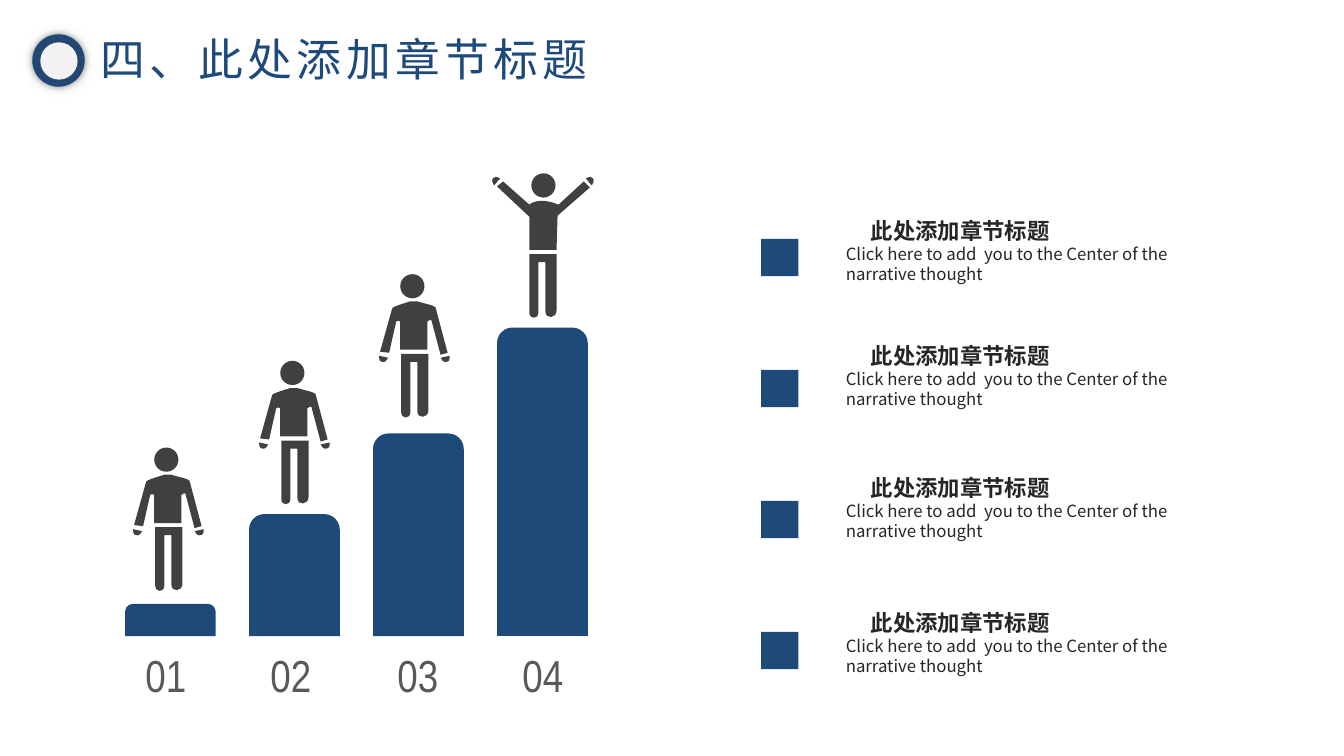
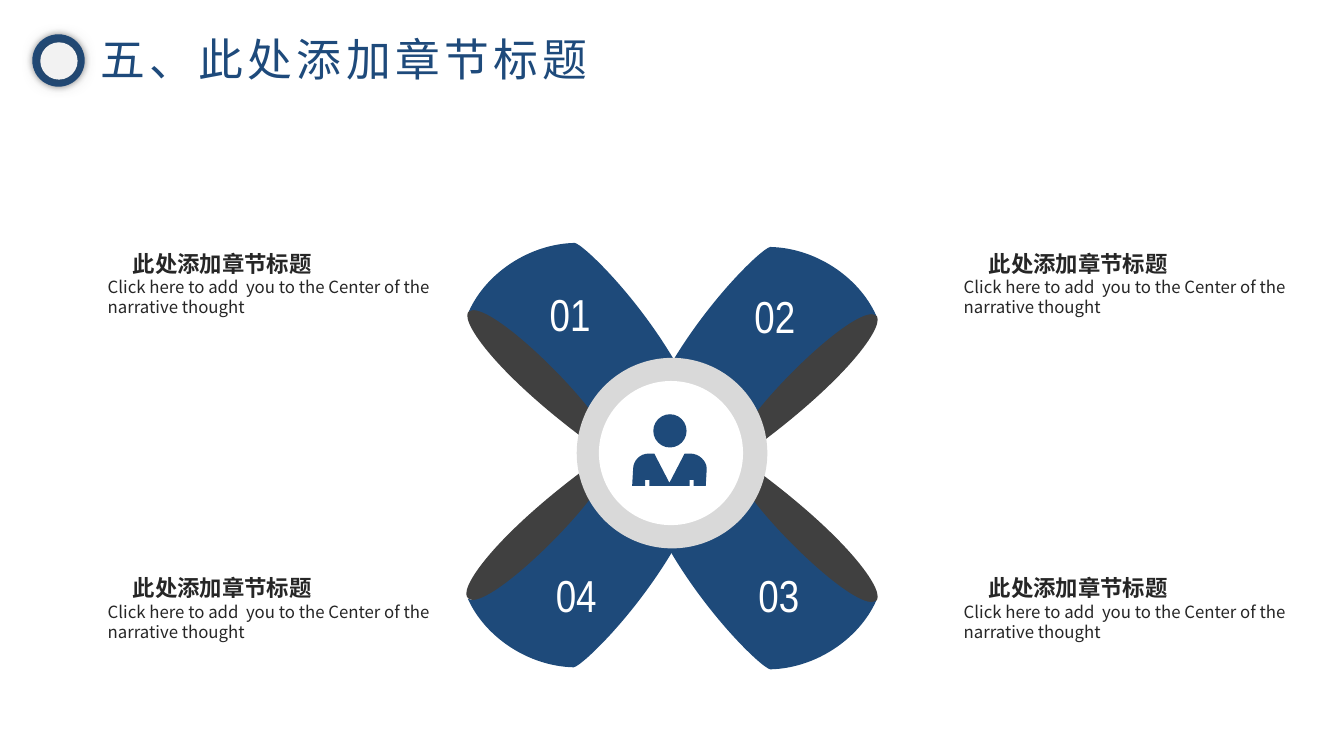
from lxml.etree import Element, SubElement
from pptx import Presentation
from pptx.dml.color import RGBColor
from pptx.enum.shapes import MSO_SHAPE
from pptx.enum.text import MSO_ANCHOR, PP_ALIGN
from pptx.oxml.ns import qn
from pptx.util import Inches, Pt

RING_BLUE, BLUE, DARK = "1E4A7B", "1E4A7A", "404040"
BODY_FONT, NUMBER_FONT = "Noto Sans CJK SC", "Arial Narrow"


def draw(shapes, color, outline=None, preset=MSO_SHAPE.OVAL, box=None,
         flip=(1, 1), shift=(0, 0)):
    """Add a filled preset in box, or an outline of points (2) and curves (6)."""
    if outline:
        points = [(Inches(flip[0] * step[index] + shift[0]),
                   Inches(flip[1] * step[index + 1] + shift[1]))
                  for step in outline for index in range(0, len(step), 2)]
        builder = shapes.build_freeform(*points[0])
        builder.add_line_segments(points[1:], close=True)
        shape = builder.convert_to_shape()
        # Join the three points of each curve into one Bézier segment
        segments = iter(list(shape._element.iter(qn("a:lnTo"))))
        for step in outline[1:]:
            segment = next(segments)
            if len(step) == 6:
                curve = Element(qn("a:cubicBezTo"))
                segment.addprevious(curve)
                for part in (segment, next(segments), next(segments)):
                    curve.append(part[0])
                    part.getparent().remove(part)
    else:
        left, top, width, height = box
        shape = shapes.add_shape(preset, Inches(left + shift[0]), Inches(top + shift[1]),
                                 Inches(width), Inches(height))
    shape.shadow.inherit = False
    shape.fill.solid()
    shape.fill.fore_color.rgb = RGBColor.from_string(color)
    shape.line.fill.background()
    return shape


def write(frame, text, size, color, font=BODY_FONT, bold=False, align=PP_ALIGN.LEFT,
          spacing=0, indent=0):
    """Write one formatted paragraph, using the empty first one if there is one."""
    paragraph = frame.add_paragraph() if frame.text else frame.paragraphs[0]
    paragraph.alignment = align
    if indent:
        properties = paragraph._p.get_or_add_pPr()
        properties.set("marL", "0")
        properties.set("indent", str(Inches(indent)))
    run = paragraph.add_run()
    run.text = text
    run.font.size = Pt(size)
    run.font.bold = bold
    run.font.color.rgb = RGBColor.from_string(color)
    run.font.name = font
    run_properties = run._r.get_or_add_rPr()
    SubElement(run_properties, qn("a:ea")).set("typeface", font)
    if spacing:
        run_properties.set("spc", str(spacing * 100))


presentation = Presentation()
presentation.slide_width = Inches(13.33)
presentation.slide_height = Inches(7.5)

# Title and ring badge on every slide
slides = []
for title_text in ("四、此处添加章节标题", "五、此处添加章节标题"):
    slide = presentation.slides.add_slide(presentation.slide_layouts[5])
    slides.append(slide)
    badge = slide.shapes.add_group_shape()
    for color, box, shadow_color, opacity, blur in (
            (RING_BLUE, (0.32, 0.34, 0.52, 0.52), "000000", 40, 5),
            ("F2F2F2", (0.4, 0.42, 0.37, 0.37), DARK, 50, 15)):
        disc = draw(badge.shapes, color, box=box)
        effects = disc._element.spPr.find(qn("a:effectLst"))
        shadow = SubElement(effects, qn("a:outerShdw"), blurRad=str(Pt(blur)),
                            dist="0", dir="0", algn="ctr", rotWithShape="0")
        shade = SubElement(shadow, qn("a:srgbClr"), val=shadow_color)
        SubElement(shade, qn("a:alpha"), val=str(opacity * 1000))
    title = slide.shapes.title
    title.left, title.top = Inches(0.93), Inches(0.28)
    title.width, title.height = Inches(5.46), Inches(0.61)
    frame = title.text_frame
    frame.margin_left = frame.margin_right = Inches(0.07)
    frame.margin_top = frame.margin_bottom = Inches(0.04)
    frame.vertical_anchor = MSO_ANCHOR.MIDDLE
    write(frame, title_text, 32, RING_BLUE, spacing=3)
steps_slide, blades_slide = slides

# Rising steps
STEP_BOTTOM = 6.31
for index, (top, corner) in enumerate(((5.99, 0.25), (5.1, 0.17), (4.3, 0.17), (3.25, 0.17))):
    step_bar = draw(steps_slide.shapes, BLUE, preset=MSO_SHAPE.ROUND_2_SAME_RECTANGLE,
                    box=(1.24 + 1.23 * index, top, 0.9, STEP_BOTTOM - top))
    step_bar.adjustments[0] = corner

# Standing people on the first three steps
LEGS = [(1.81, 5.79), (1.81, 5.23), (1.54, 5.23), (1.54, 5.81),
        (1.54, 5.88, 1.63, 5.88, 1.63, 5.81), (1.63, 5.31), (1.7, 5.31), (1.7, 5.8),
        (1.7, 5.88, 1.81, 5.87, 1.81, 5.79)]
STANDING_TORSO = [
    (1.42, 5.22), (1.33, 5.21), (1.45, 4.78), (1.46, 4.76, 1.57, 4.73, 1.63, 4.71),
    (1.7, 4.71), (1.76, 4.73, 1.87, 4.75, 1.88, 4.77), (2, 5.22), (1.93, 5.24),
    (1.84, 4.9), (1.83, 4.88, 1.81, 4.91, 1.8, 4.91), (1.8, 5.19), (1.53, 5.19),
    (1.53, 4.91), (1.52, 4.91, 1.5, 4.89, 1.49, 4.91)]
LOWERED_HAND = [(1.41, 5.27), (1.32, 5.25), (1.32, 5.3, 1.33, 5.31, 1.35, 5.31),
                (1.38, 5.32, 1.4, 5.29, 1.41, 5.27)]
for across, down in ((0, 0), (1.25, -0.86), (2.44, -1.72)):
    person = steps_slide.shapes.add_group_shape()
    draw(person.shapes, DARK, box=(1.53, 4.44, 0.24, 0.24), shift=(across, down))
    for outline in (STANDING_TORSO, LOWERED_HAND, LEGS):
        draw(person.shapes, DARK, outline, shift=(across, down))
    draw(person.shapes, DARK, LOWERED_HAND, flip=(-1, 1), shift=(3.34 + across, down))

# Cheering person on the top step
CHEERING_TORSO = [
    (5.52, 2.48), (5.25, 2.48), (5.25, 2.15), (4.93, 1.85), (4.99, 1.8), (5.25, 2.03),
    (5.31, 1.98, 5.42, 1.98, 5.54, 2.03), (5.79, 1.8), (5.85, 1.86), (5.53, 2.14)]
RAISED_HAND = [(4.9, 1.84), (4.96, 1.77), (4.92, 1.75, 4.9, 1.75, 4.89, 1.77),
               (4.87, 1.79, 4.89, 1.82, 4.9, 1.84)]
winner = steps_slide.shapes.add_group_shape()
draw(winner.shapes, DARK, box=(5.27, 1.72, 0.24, 0.24))
draw(winner.shapes, DARK, CHEERING_TORSO)
draw(winner.shapes, DARK, RAISED_HAND)
draw(winner.shapes, DARK, RAISED_HAND, flip=(-1, 1), shift=(10.77, 0))
draw(winner.shapes, DARK, LEGS, shift=(3.71, -2.71))

# Square bullets
for index in range(4):
    draw(steps_slide.shapes, BLUE, preset=MSO_SHAPE.RECTANGLE,
         box=(7.55, 2.37 + 1.3 * index, 0.37, 0.37))

# Four blades, all mirrored from the upper left one
BLADE_EDGE = [(5.91, 4.09), (5.83, 4.38), (4.9, 3.69, 4.53, 3.15, 4.66, 3.08),
              (4.84, 2.96, 5.5, 3.58, 5.91, 4.09)]
BLADE = [(6.77, 3.72), (6.37, 2.98, 5.78, 2.42, 5.7, 2.41),
         (5.25, 2.42, 4.82, 2.71, 4.65, 3.09), (4.81, 2.97, 5.59, 3.7, 5.9, 4.13)]
for flip, across, edge_down, blade_down in (
        ((1, 1), 0, 0, 0), ((-1, -1), 13.34, 9.05, 9.05),
        ((1, -1), -0.01, 9.02, 9.03), ((-1, 1), 13.34, 0.04, 0.04)):
    draw(blades_slide.shapes, DARK, BLADE_EDGE, flip=flip, shift=(across, edge_down))
    draw(blades_slide.shapes, BLUE, BLADE, flip=flip, shift=(across, blade_down))

# Hub with a person in a suit
draw(blades_slide.shapes, "D9D9D9", box=(5.72, 3.55, 1.89, 1.89))
draw(blades_slide.shapes, "FFFFFF", box=(5.94, 3.78, 1.43, 1.43))
SUIT = [(6.4, 4.82), (6.4, 4.76), (6.44, 4.76), (6.44, 4.82), (6.84, 4.82), (6.84, 4.76),
        (6.88, 4.76), (6.88, 4.82), (7, 4.82), (7.01, 4.65),
        (7.01, 4.57, 6.93, 4.5, 6.85, 4.5), (6.79, 4.5), (6.64, 4.79), (6.49, 4.5),
        (6.43, 4.5), (6.35, 4.5, 6.28, 4.57, 6.28, 4.65), (6.27, 4.82)]
manager = blades_slide.shapes.add_group_shape()
draw(manager.shapes, BLUE, box=(6.48, 4.11, 0.33, 0.33))
draw(manager.shapes, BLUE, SUIT)

# Numbers under the steps and on the blades
for slide, color, width, places in (
        (steps_slide, "595959", 0.97, ((1.16, 6.38), (2.4, 6.38), (3.66, 6.38), (4.9, 6.38))),
        (blades_slide, "FFFFFF", 0.85, ((5.23, 2.8), (7.26, 2.82), (7.3, 5.58), (5.29, 5.58)))):
    for number, (left, top) in enumerate(places, start=1):
        label = slide.shapes.add_textbox(Inches(left), Inches(top), Inches(width), Inches(0.64))
        label.text_frame.word_wrap = True
        write(label.text_frame, f"{number:02}", 32, color, font=NUMBER_FONT,
              align=PP_ALIGN.CENTER)

# Descriptions
for slide, places in (
        (steps_slide, ((8.29, 2.1), (8.29, 3.34), (8.29, 4.65), (8.29, 5.99))),
        (blades_slide, ((0.97, 2.43), (0.97, 5.65), (9.46, 2.43), (9.46, 5.65)))):
    for left, top in places:
        description = slide.shapes.add_textbox(Inches(left), Inches(top),
                                               Inches(3.68), Inches(1.25))
        frame = description.text_frame
        frame.word_wrap = True
        write(frame, "此处添加章节标题", 16, "262626", bold=True, indent=0.25)
        for text in ("Click here to add  you to the Center of the", "narrative thought"):
            write(frame, text, 12, "262626")

presentation.save("out.pptx")
